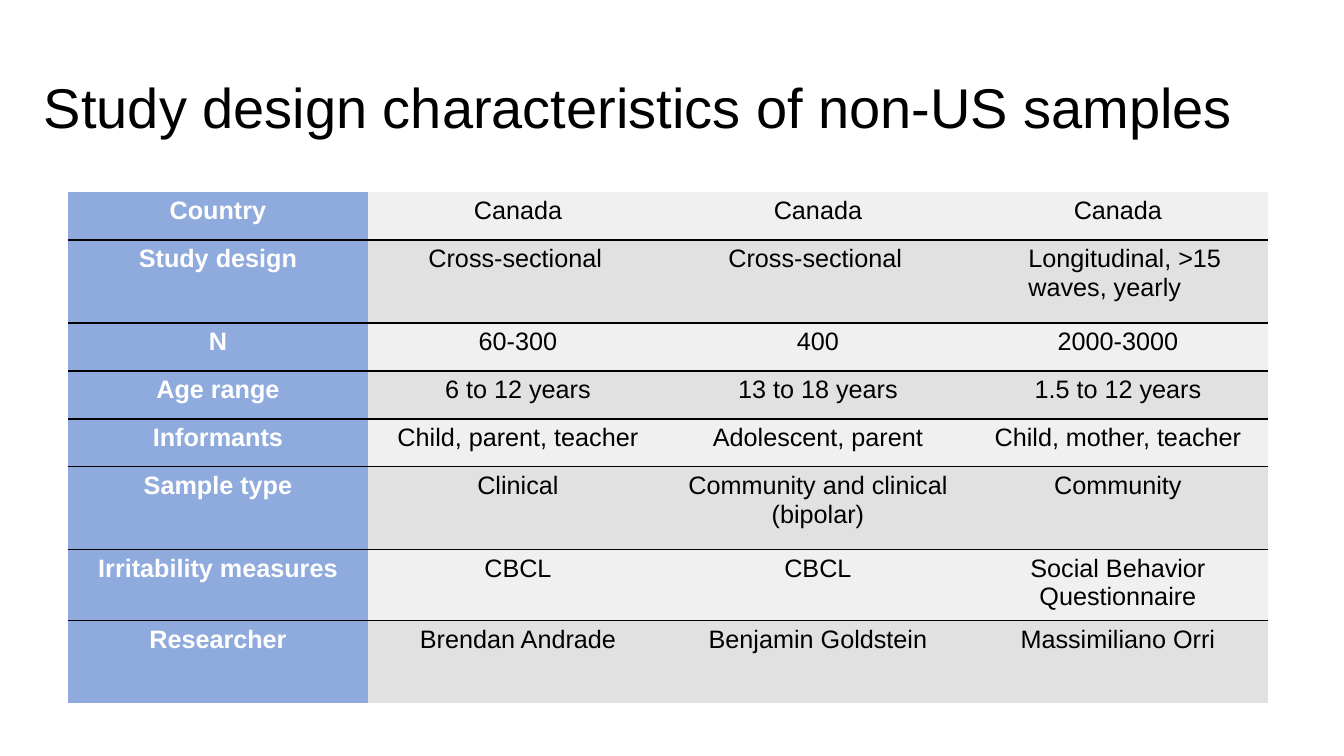
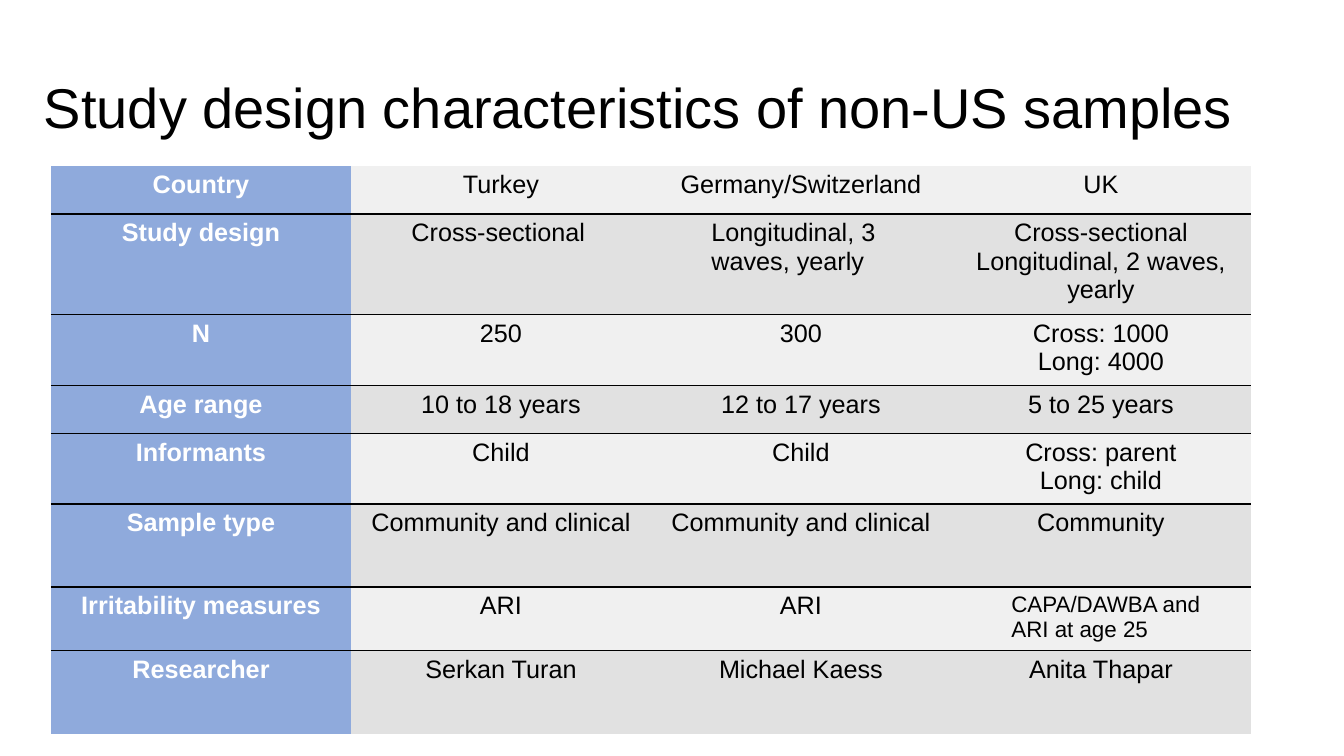
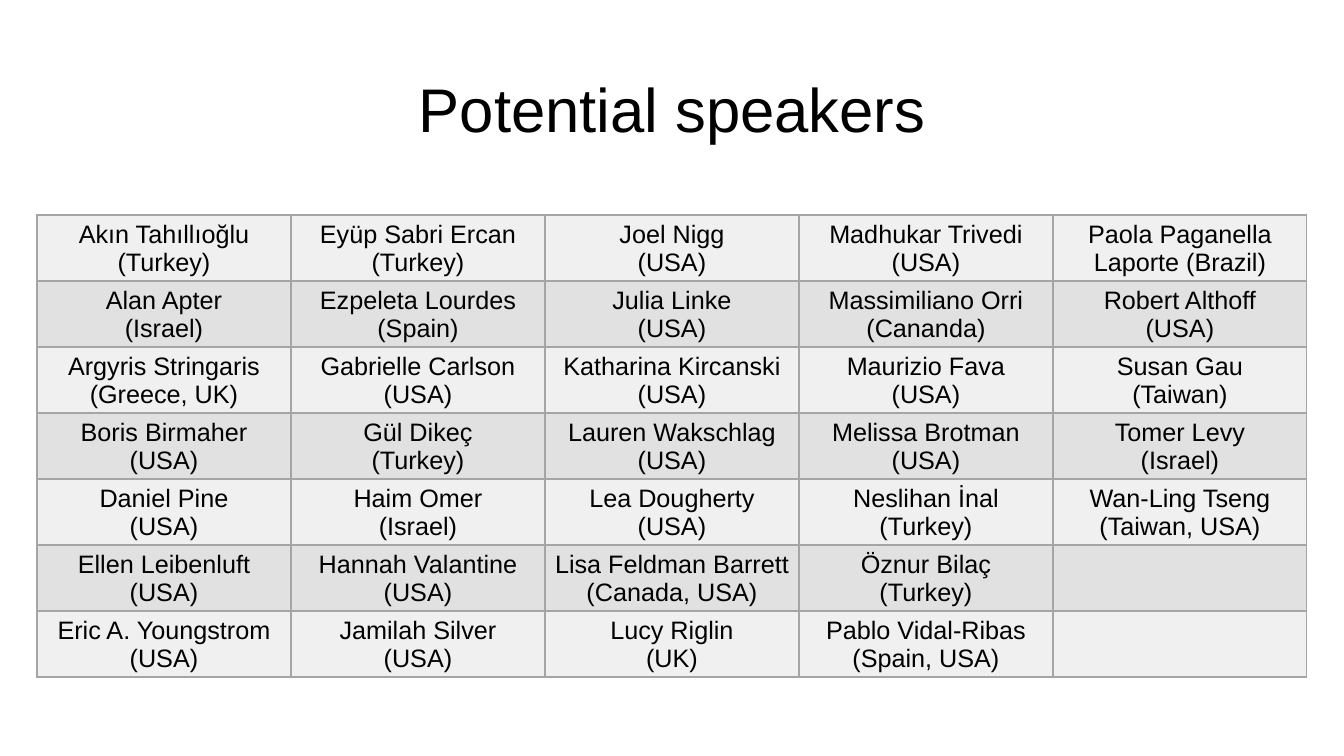
import lxml.etree
import pptx
import pptx.dml.color
import pptx.enum.text
import pptx.oxml.ns
import pptx.util

PX = 914400 / 100.8
FONT = "Arial"
BLACK, WHITE, GRAY, BLUE = "000000", "FFFFFF", "A5A5A5", "8FAADC"
BANDS = ("F0F0F0", "E1E1E1")
NO_GRID_STYLE = "{2D5ABB26-0587-4C30-8999-92F81FD0307C}"
ALIGN = pptx.enum.text.PP_ALIGN
MIDDLE = pptx.enum.text.MSO_ANCHOR.MIDDLE
TOP = pptx.enum.text.MSO_ANCHOR.TOP

STUDY_TITLE = "Study design characteristics of non-US samples"
STUDY_BOX = (34, 37, 1234, 146)
STUDY_HEIGHTS = (48, 83, 48, 48, 48, 83, 48, 83)
STUDY_LABELS = ("Country", "Study design", "N", "Age range", "Informants",
                "Sample type", "Irritability measures", "Researcher")

CANADA = (
    ("Canada", "Canada", "Canada"),
    ("Cross-sectional", "Cross-sectional", "Longitudinal, >15 waves, yearly"),
    ("60-300", "400", "2000-3000"),
    ("6 to 12 years", "13 to 18 years", "1.5 to 12 years"),
    ("Child, parent, teacher", "Adolescent, parent", "Child, mother, teacher"),
    ("Clinical", "Community and clinical (bipolar)", "Community"),
    ("CBCL", "CBCL", "Social Behavior Questionnaire"),
    ("Brendan Andrade", "Benjamin Goldstein", "Massimiliano Orri"),
)
EUROPE = (
    ("Turkey", "Germany/Switzerland", "UK"),
    ("Cross-sectional", "Longitudinal, 3 waves, yearly",
     "Cross-sectional Longitudinal, 2 waves, yearly"),
    ("250", "300", "Cross: 1000\nLong: 4000"),
    ("10 to 18 years", "12 to 17 years", "5 to 25 years"),
    ("Child", "Child", "Cross: parent\nLong: child"),
    ("Community and clinical", "Community and clinical", "Community"),
    ("ARI", "ARI", "CAPA/DAWBA and ARI at age 25"),
    ("Serkan Turan", "Michael Kaess", "Anita Thapar"),
)
SPEAKERS = (
    ("Akın Tahıllıoğlu (Turkey)", "Eyüp Sabri Ercan (Turkey)", "Joel Nigg\n(USA)",
     "Madhukar Trivedi (USA)", "Paola Paganella Laporte (Brazil)"),
    ("Alan Apter\n(Israel)", "Ezpeleta Lourdes (Spain)", "Julia Linke\n(USA)",
     "Massimiliano Orri (Cananda)", "Robert Althoff\n(USA)"),
    ("Argyris Stringaris (Greece, UK)", "Gabrielle Carlson (USA)",
     "Katharina Kircanski (USA)", "Maurizio Fava\n(USA)", "Susan Gau\n(Taiwan)"),
    ("Boris Birmaher\n(USA)", "Gül Dikeç\n(Turkey)", "Lauren Wakschlag (USA)",
     "Melissa Brotman (USA)", "Tomer Levy\n(Israel)"),
    ("Daniel Pine\n(USA)", "Haim Omer\n(Israel)", "Lea Dougherty\n(USA)",
     "Neslihan İnal\n(Turkey)", "Wan-Ling Tseng (Taiwan, USA)"),
    ("Ellen Leibenluft\n(USA)", "Hannah Valantine (USA)",
     "Lisa Feldman Barrett (Canada, USA)", "Öznur Bilaç\n(Turkey)", ""),
    ("Eric A. Youngstrom (USA)", "Jamilah Silver\n(USA)", "Lucy Riglin\n(UK)",
     "Pablo Vidal-Ribas (Spain, USA)", ""),
)


def px(n):
    return pptx.util.Emu(round(n * PX))


def rgb(color):
    return pptx.dml.color.RGBColor.from_string(color)


def set_attrs(obj, values):
    for name, value in values.items():
        setattr(obj, name, value)


def write_text(tf, text, size, color=BLACK, bold=False, **para):
    tf.text = text
    for p in tf.paragraphs:
        set_attrs(p, para)
        for r in p.runs:
            set_attrs(r.font, {"name": FONT, "size": pptx.util.Pt(size), "bold": bold})
            r.font.color.rgb = rgb(color)


def add_title(s, box, text, size, align):
    tf = s.shapes.add_textbox(*map(px, box)).text_frame
    set_attrs(tf, {"word_wrap": True, "vertical_anchor": MIDDLE})
    write_text(tf, text, size, alignment=align, line_spacing=0.9)


def add_borders(cell, sides, color):
    tc_pr = cell._tc.get_or_add_tcPr()
    for side in sides:
        ln = lxml.etree.SubElement(tc_pr, pptx.oxml.ns.qn(f"a:ln{side}"), w="12700")
        fill = lxml.etree.SubElement(ln, pptx.oxml.ns.qn("a:solidFill"))
        lxml.etree.SubElement(fill, pptx.oxml.ns.qn("a:srgbClr"), val=color)


def add_grid(s, box, heights, n_cols):
    gf = s.shapes.add_table(len(heights), n_cols, *map(px, box))
    table = gf.table
    set_attrs(table, {"first_row": False, "horz_banding": False})
    table._tbl.tblPr.find(pptx.oxml.ns.qn("a:tableStyleId")).text = NO_GRID_STYLE
    for col in table.columns:
        col.width = px(box[2] // n_cols)
    for row, height in zip(table.rows, heights):
        row.height = px(height)
    gf.height = px(box[3])
    return table


def fill_cell(cell, color):
    cell.fill.solid()
    cell.fill.fore_color.rgb = rgb(color)


def add_study_table(s, box, data, indented):
    table = add_grid(s, box, STUDY_HEIGHTS, 4)
    last = len(data) - 1
    for i, (label, values) in enumerate(zip(STUDY_LABELS, data)):
        sides = ("T" if i else "") + ("B" if i < last else "")
        for j, text in enumerate((label, *values)):
            cell = table.cell(i, j)
            head = j == 0
            add_borders(cell, sides, BLACK)
            fill_cell(cell, BLUE if head else BANDS[i % 2])
            if (i, j) in indented:
                write_text(cell.text_frame, text, indented[i, j],
                           alignment=ALIGN.LEFT, level=1)
                p_pr = cell.text_frame.paragraphs[0]._p.get_or_add_pPr()
                p_pr.set("marL", "457200")
                p_pr.set("indent", "0")
            else:
                write_text(cell.text_frame, text, 18, WHITE if head else BLACK, head,
                           alignment=ALIGN.CENTER)


def add_speaker_table(s, box):
    table = add_grid(s, box, (66,) * len(SPEAKERS), 5)
    for i, names in enumerate(SPEAKERS):
        for j, name in enumerate(names):
            cell = table.cell(i, j)
            add_borders(cell, "LRTB", GRAY)
            fill_cell(cell, BANDS[i % 2])
            set_attrs(cell, {"margin_left": px(1), "margin_right": px(1),
                             "margin_top": px(1), "margin_bottom": 0,
                             "vertical_anchor": MIDDLE})
            write_text(cell.text_frame, name, 18, alignment=ALIGN.CENTER)


def study_slide(s, box, data, indented):
    add_title(s, STUDY_BOX, STUDY_TITLE, 40, ALIGN.LEFT)
    add_study_table(s, box, data, indented)


def speaker_slide(s, box):
    add_title(s, (93, 40, 1159, 146), "Potential speakers", 44, ALIGN.CENTER)
    add_speaker_table(s, box)


def main():
    prs = pptx.Presentation()
    set_attrs(prs, {"slide_width": px(1344), "slide_height": px(756)})
    slides = (
        (study_slide, (68, 192, 1200, 510), CANADA, {(1, 1): 18, (1, 2): 18, (1, 3): 18}),
        (study_slide, (51, 166, 1200, 567), EUROPE, {(1, 1): 18, (1, 2): 18, (6, 3): 16}),
        (speaker_slide, (37, 215, 1270, 466)),
    )
    for build, *args in slides:
        build(prs.slides.add_slide(prs.slide_layouts[6]), *args)
    prs.save("out.pptx")


if __name__ == "__main__":
    main()
